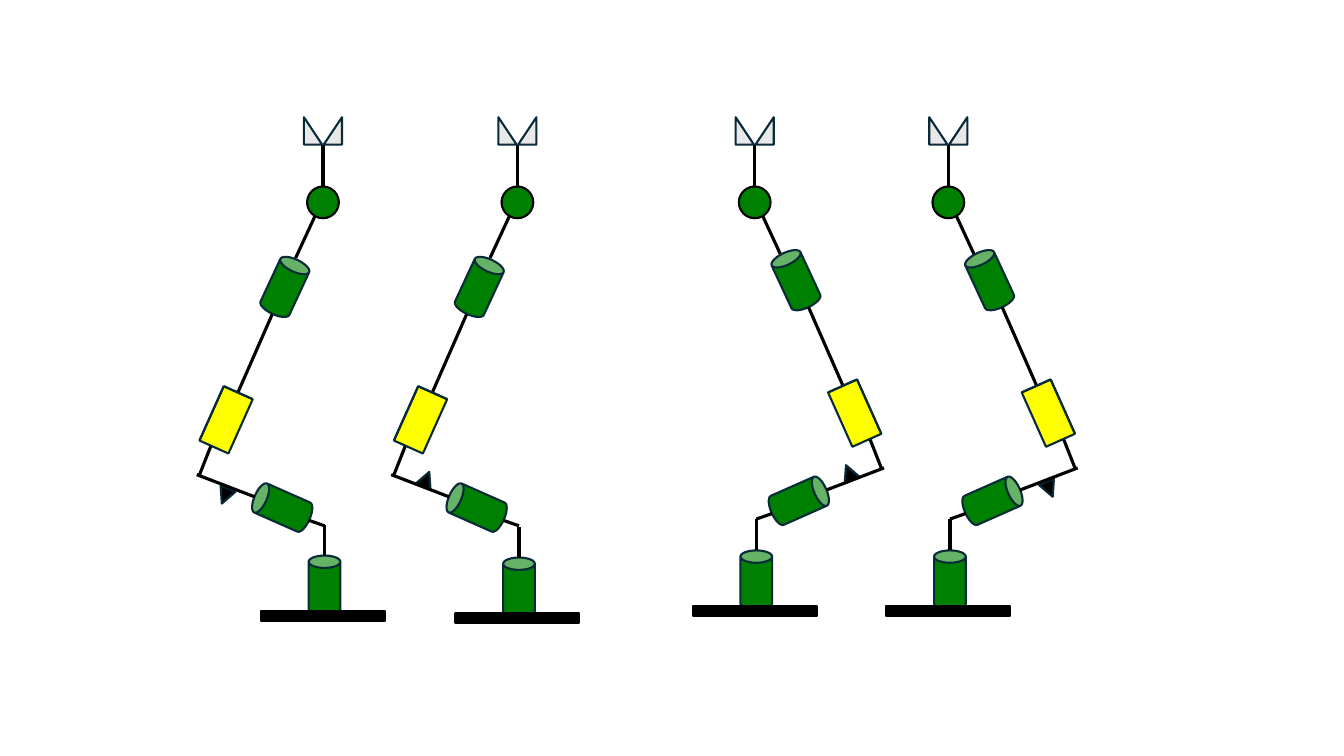
from pptx import Presentation
from pptx import util as u
from pptx.dml.color import RGBColor
from pptx.enum import shapes
from pptx.oxml.ns import qn
from lxml import etree

GREEN = RGBColor(0x00, 0x80, 0x00)
YELLOW = RGBColor(0xFF, 0xFF, 0x00)
GREY = RGBColor(0xE8, 0xE8, 0xE8)
NAVY = RGBColor(0x09, 0x2A, 0x39)
BLACK = RGBColor(0x00, 0x00, 0x00)

MSO = shapes.MSO_SHAPE
JOINT = (0.8, 1.5)   # width and height of a joint body, cm

# Wrist x, side the elbow points to, rise of the limb, top of the base, marker below link
ARMS = [
    (13.04, -1, 0, 14.05, False),
    (8.14, -1, 0, 14.0, True),
    (23.9, 1, 0.17, 13.87, True),
    (19.02, 1, 0.17, 13.87, False),
]


def add_part(group, kind, centre, size, fill, line=NAVY, rot=0, flip=False):
    """Place a filled preset shape by its centre, in cm."""
    (x, y), (w, h) = centre, size
    sp = group.add_shape(kind, u.Cm(x - w / 2), u.Cm(y - h / 2), u.Cm(w), u.Cm(h))
    sp.shadow.inherit = False
    sp.fill.solid()
    sp.fill.fore_color.rgb = fill
    sp.line.color.rgb = line
    sp.line.width = u.Pt(1.5)
    sp.rotation = rot % 360
    if flip:
        sp._element.spPr.find(qn("a:xfrm")).set("flipH", "1")
    return sp


def add_can(group, centre, rot=0, flip=False):
    sp = add_part(group, MSO.CAN, centre, JOINT, GREEN, rot=rot, flip=flip)
    sp.adjustments[0] = 0.39


def add_link(group, start, end):
    ends = [u.Cm(v) for v in (*start, *end)]
    cn = group.add_connector(shapes.MSO_CONNECTOR.STRAIGHT, *ends)
    cn.line.color.rgb = BLACK
    cn.line.width = u.Pt(2.25)
    etree.SubElement(cn._element.spPr, qn("a:effectLst"))


def add_gripper(group, x):
    add_part(group, MSO.OVAL, (x, 5.1), (0.8, 0.8), GREEN, BLACK)
    add_link(group, (x, 4.7), (x, 3.66))
    for side in (-1, 1):
        add_part(group, MSO.RIGHT_TRIANGLE, (x + side * 0.25, 3.3), (0.46, 0.69),
                 GREY, flip=side > 0)


def add_limb(group, wrist, axis, side, rise, below):
    def at(off, y):
        return axis + side * off, y - rise

    flip = side < 0
    # Direction marker on the lower link
    marker = at(2.51, 12.5) if below else at(2.34, 12.08)
    add_part(group, MSO.ISOSCELES_TRIANGLE, marker, (0.41, 0.41), BLACK,
             rot=-side * 22.6 + (180 if below else 0))
    # Upper arm
    add_link(group, (wrist + side * 0.69, 6.5), (wrist + side * 0.2, 5.44))
    add_can(group, at(1, 7.23), -side * 24.9, flip)
    add_link(group, at(2.18, 9.88), at(1.32, 7.92))
    elbow = add_part(group, MSO.CUBE, at(2.48, 10.58), JOINT, YELLOW,
                     rot=-side * 24.1, flip=flip)
    elbow.adjustments[0] = 0
    # Lower arm
    add_can(group, at(1.07, 12.79), side * 66.1, flip)
    add_link(group, at(3.15, 11.96), at(2.87, 11.25))
    add_link(group, at(3.22, 11.96), at(1.76, 12.52))
    add_link(group, at(0.4, 13.11), at(0, 13.25))


def add_base(group, wrist, axis, top):
    add_can(group, (axis, top + 0.75))
    add_part(group, MSO.RECTANGLE, (wrist, top + 1.52), (3.12, 0.25), BLACK, BLACK)
    add_link(group, (axis, top), (axis, top - 0.78))


def add_arm(slide, wrist, side, rise, base_top, below):
    group = slide.shapes.add_group_shape().shapes
    axis = wrist + 0.04
    add_gripper(group, wrist)
    add_limb(group, wrist, axis, side, rise, below)
    add_base(group, wrist, axis, base_top)


def main():
    prs = Presentation()
    prs.slide_width, prs.slide_height = u.Cm(33.87), u.Cm(19.05)
    s = prs.slides.add_slide(prs.slide_layouts[6])
    for arm in ARMS:
        add_arm(s, *arm)
    prs.save("out.pptx")


if __name__ == "__main__":
    main()
